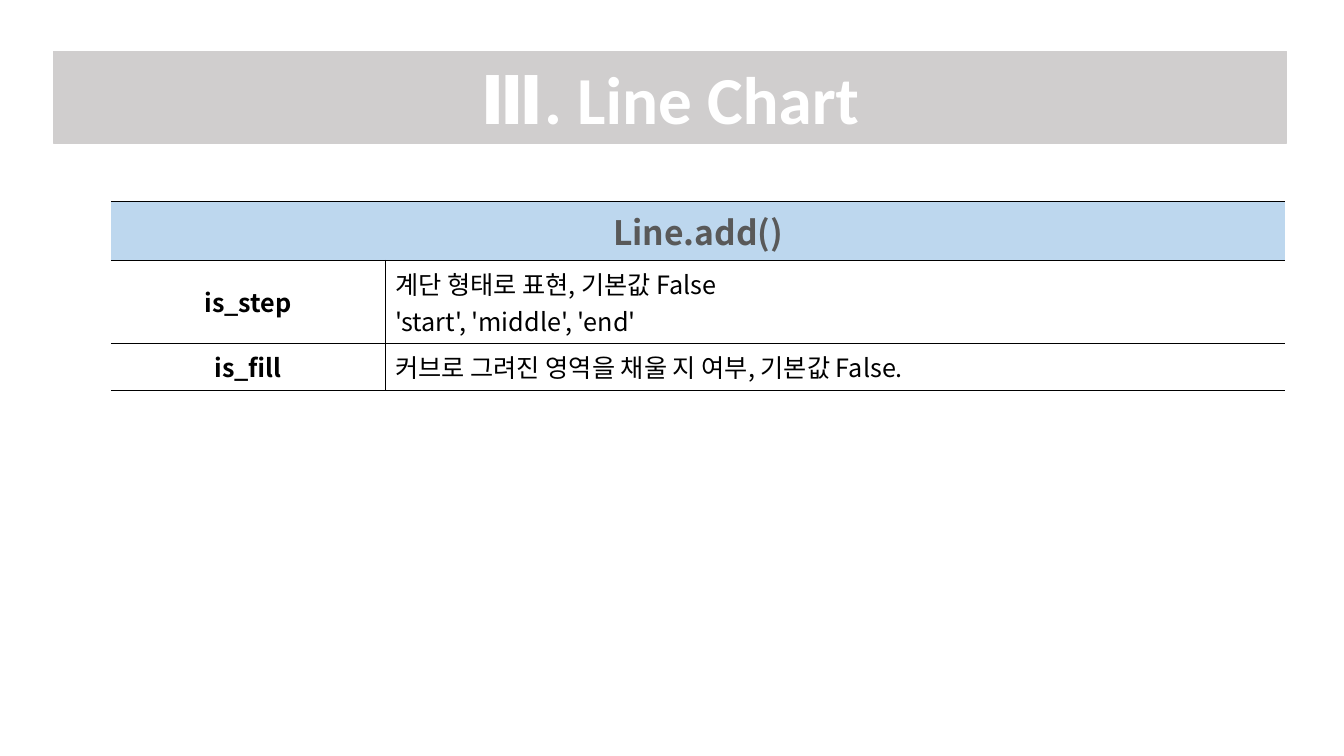
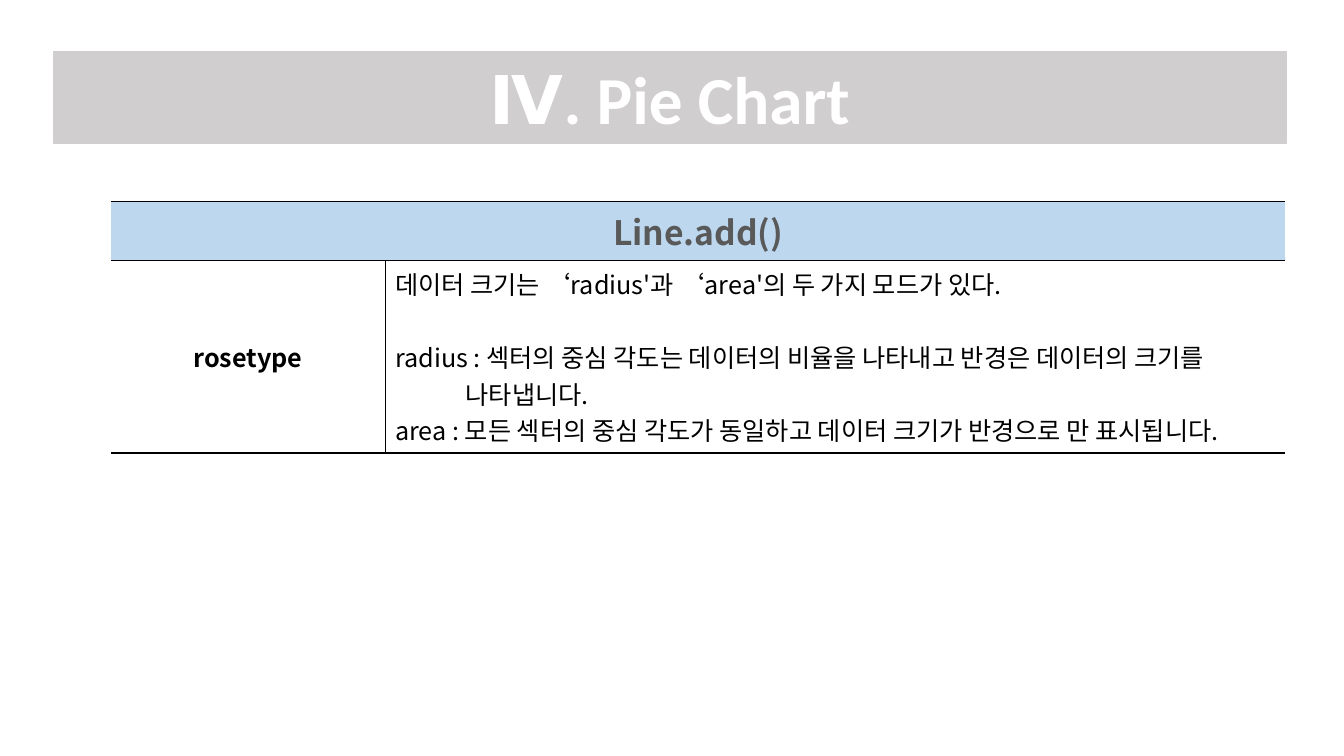
from lxml.etree import SubElement
from pptx import Presentation
from pptx.dml.color import RGBColor
from pptx.enum.shapes import MSO_SHAPE
from pptx.enum.text import MSO_ANCHOR, PP_ALIGN
from pptx.oxml import parse_xml
from pptx.oxml.ns import nsdecls, qn
from pptx.util import Inches, Pt

BAND, HEADER, INK, WHITE = "D0CECE", "BDD7EE", "000000", "FFFFFF"
KOREAN = "Noto Sans CJK KR"
COLUMN_WIDTHS = (2.72, 8.93)
HEADER_HEIGHT = 0.58

TITLE = {"name": "Calibri", "size": Pt(48), "bold": True, "color": WHITE}
HEADING = {"name": KOREAN, "size": Pt(24), "bold": True, "color": "595959"}
BODY = {"name": KOREAN, "size": Pt(18), "bold": False, "color": INK}
LABEL = {**BODY, "bold": True}

HANGING = {"hang": 0.7}
GAP_AFTER = {"space_after": Pt(26)}

SLIDES = [
    ("Ⅲ. Line Chart", [
        ("is_step", 0.82, [("계단 형태로 표현, 기본값 False", {}),
                           ("'start', 'middle', 'end'", {})]),
        ("is_fill", 0.46, [("커브로 그려진 영역을 채울 지 여부, 기본값 False.", {})]),
    ]),
    ("Ⅳ. Pie Chart", [
        ("rosetype", 1.91, [
            ("데이터 크기는 ‘radius'과 ‘area'의 두 가지 모드가 있다.", GAP_AFTER),
            ("radius : 섹터의 중심 각도는 데이터의 비율을 나타내고 반경은 데이터의 크기를 나타냅니다.", HANGING),
            ("area : 모든 섹터의 중심 각도가 동일하고 데이터 크기가 반경으로 만 표시됩니다.", {}),
        ]),
    ]),
]


def rgb(value):
    """Turn a hex string into a colour."""
    return RGBColor.from_string(value)


def write_paragraph(para, text, style, **layout):
    """Write one styled run and apply the paragraph layout."""
    hang = layout.pop("hang", 0)
    for name, value in layout.items():
        setattr(para, name, value)
    if hang:
        properties = para._p.get_or_add_pPr()
        properties.set("marL", str(Inches(hang)))
        properties.set("indent", str(-Inches(hang)))
    span = para.add_run()
    span.text = text
    for name, value in style.items():
        if name == "color":
            span.font.color.rgb = rgb(value)
        else:
            setattr(span.font, name, value)
    if style["name"] == KOREAN:
        SubElement(span._r.get_or_add_rPr(), qn("a:ea"), typeface=KOREAN)


def add_title_band(page, text):
    """Add the grey band holding the slide title."""
    box = page.shapes.add_shape(MSO_SHAPE.RECTANGLE, Inches(0.53), Inches(0.51),
                                Inches(12.23), Inches(0.91))
    box.shadow.inherit = False
    box.fill.solid()
    box.fill.fore_color.rgb = rgb(BAND)
    box.line.color.rgb = rgb(BAND)
    box.line.width = Pt(1)
    box.text_frame.vertical_anchor = MSO_ANCHOR.MIDDLE
    write_paragraph(box.text_frame.paragraphs[0], text, TITLE, alignment=PP_ALIGN.CENTER)


def format_cell(cell, fill, ruled_sides):
    """Fill a cell and rule only the named sides."""
    cell.fill.solid()
    cell.fill.fore_color.rgb = rgb(fill)
    properties = cell._tc.get_or_add_tcPr()
    for index, side in enumerate("LRTB"):
        paint = (f'<a:solidFill><a:srgbClr val="{INK}"/></a:solidFill>'
                 if side in ruled_sides else "<a:noFill/>")
        border = f'<a:ln{side} {nsdecls("a")} w="{Pt(1)}">{paint}</a:ln{side}>'
        properties.insert(index, parse_xml(border))


def write_cell(cell, lines, style, centered=False):
    """Write a cell's paragraphs, centred both ways if asked."""
    frame = cell.text_frame
    if centered:
        cell.vertical_anchor = MSO_ANCHOR.MIDDLE
    for index, (text, layout) in enumerate(lines):
        para = frame.add_paragraph() if index else frame.paragraphs[0]
        alignment = PP_ALIGN.CENTER if centered else PP_ALIGN.LEFT
        write_paragraph(para, text, style, alignment=alignment, **layout)


def add_option_table(page, heading, options):
    """Add a table of options under one merged heading."""
    heights = [HEADER_HEIGHT] + [height for _, height, _ in options]
    table = page.shapes.add_table(len(heights), len(COLUMN_WIDTHS), Inches(1.1), Inches(2),
                                  Inches(sum(COLUMN_WIDTHS)), Inches(sum(heights))).table
    table.first_row = table.horz_banding = False
    for column, width in zip(table.columns, COLUMN_WIDTHS):
        column.width = Inches(width)
    for row, height in zip(table.rows, heights):
        row.height = Inches(height)
    for cell in table.rows[0].cells:
        format_cell(cell, HEADER, "TB")
    table.cell(0, 0).merge(table.cell(0, 1))
    write_cell(table.cell(0, 0), [(heading, {})], HEADING, centered=True)
    for index, (label, _, lines) in enumerate(options, 1):
        name, description = table.rows[index].cells
        format_cell(name, WHITE, "RTB")
        format_cell(description, WHITE, "LTB")
        write_cell(name, [(label, {})], LABEL, centered=True)
        write_cell(description, lines, BODY)


def main():
    """Build and save the deck."""
    deck = Presentation()
    deck.slide_width, deck.slide_height = Inches(13.33), Inches(7.5)
    for title, options in SLIDES:
        page = deck.slides.add_slide(deck.slide_layouts[6])
        add_title_band(page, title)
        add_option_table(page, "Line.add()", options)
    deck.save("out.pptx")


if __name__ == "__main__":
    main()
